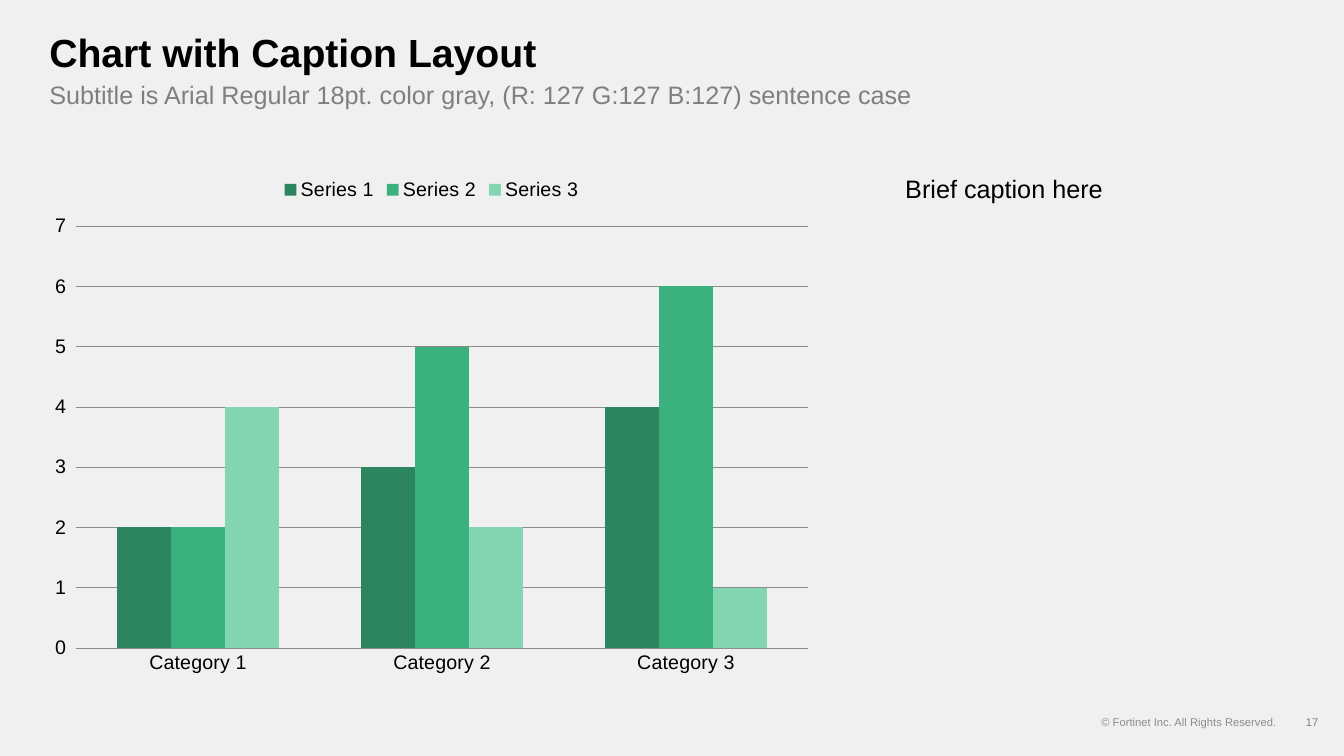
from pptx import Presentation
from pptx.chart.data import CategoryChartData
from pptx.dml.color import RGBColor
from pptx.enum.chart import XL_CHART_TYPE, XL_LEGEND_POSITION, XL_TICK_MARK
from pptx.enum.text import MSO_ANCHOR, PP_ALIGN
from pptx.util import Inches, Pt

FONT = "Arial"
COLORS = {
    "background": "F0F0F0",
    "text": "000000",
    "subtitle": "7F7F7F",
    "number": "808080",
    "muted": "8C8C8C",
}
CATEGORIES = ["Category 1", "Category 2", "Category 3"]
SERIES = [
    ("Series 1", (2, 3, 4), "2C855E"),
    ("Series 2", (2, 5, 6), "3BB17E"),
    ("Series 3", (4, 2, 1), "84D6B2"),
]


def rgb(name):
    return RGBColor.from_string(COLORS[name])


def style_font(font, size, color="text", bold=False):
    values = {"name": FONT, "size": Pt(size), "bold": bold}
    for attribute, value in values.items():
        setattr(font, attribute, value)
    font.color.rgb = rgb(color)


def style_line(line):
    line.color.rgb = rgb("muted")
    line.width = Pt(0.5)


def add_text(slide, box, text, size, color="text", bold=False,
             align=PP_ALIGN.LEFT, anchor=MSO_ANCHOR.MIDDLE, spacing=0.9):
    frame = slide.shapes.add_textbox(*map(Inches, box)).text_frame
    frame.word_wrap = True
    frame.vertical_anchor = anchor
    paragraph = frame.paragraphs[0]
    paragraph.alignment = align
    paragraph.line_spacing = spacing
    run = paragraph.add_run()
    run.text = text
    style_font(run.font, size, color, bold)


def add_column_chart(slide, box):
    data = CategoryChartData()
    data.categories = CATEGORIES
    for name, values, _ in SERIES:
        data.add_series(name, values)
    chart = slide.shapes.add_chart(
        XL_CHART_TYPE.COLUMN_CLUSTERED, *map(Inches, box), data).chart
    style_font(chart.font, 18)
    chart.has_title = False

    chart.has_legend = True
    chart.legend.position = XL_LEGEND_POSITION.TOP
    chart.legend.include_in_layout = False
    style_font(chart.legend.font, 14)

    columns = chart.plots[0]
    columns.gap_width = 150
    columns.overlap = 0
    columns.vary_by_categories = False
    for series, (_, _, color) in zip(columns.series, SERIES):
        series.format.fill.solid()
        series.format.fill.fore_color.rgb = RGBColor.from_string(color)

    for axis in (chart.category_axis, chart.value_axis):
        style_font(axis.tick_labels.font, 14)
    chart.category_axis.major_tick_mark = XL_TICK_MARK.NONE
    style_line(chart.category_axis.format.line)

    scale = chart.value_axis
    scale.minimum_scale, scale.maximum_scale, scale.major_unit = 0, 7, 1
    scale.major_tick_mark = XL_TICK_MARK.OUTSIDE
    scale.format.line.fill.background()
    scale.has_major_gridlines = True
    style_line(scale.major_gridlines.format.line)


def main():
    deck = Presentation()
    deck.slide_width, deck.slide_height = Inches(13.33), Inches(7.5)
    slide = deck.slides.add_slide(deck.slide_layouts[6])
    slide.background.fill.solid()
    slide.background.fill.fore_color.rgb = rgb("background")

    add_text(slide, (0.39, 0.29, 12.39, 0.5), "Chart with Caption Layout", 28, bold=True)
    add_text(slide, (0.39, 0.78, 12.39, 0.36),
             "Subtitle is Arial Regular 18pt. color gray, (R: 127 G:127 B:127) sentence case",
             18, "subtitle")
    add_column_chart(slide, (0.39, 1.66, 7.78, 5.13))
    add_text(slide, (8.88, 1.7, 4.08, 5.09), "Brief caption here", 18, anchor=MSO_ANCHOR.TOP)
    add_text(slide, (10.77, 7.01, 1.99, 0.3), "© Fortinet Inc. All Rights Reserved.",
             8, "muted", align=PP_ALIGN.RIGHT, spacing=1.0)
    add_text(slide, (12.76, 7.01, 0.51, 0.3), "17", 8, "number",
             align=PP_ALIGN.CENTER, spacing=1.0)

    deck.save("out.pptx")


if __name__ == "__main__":
    main()
